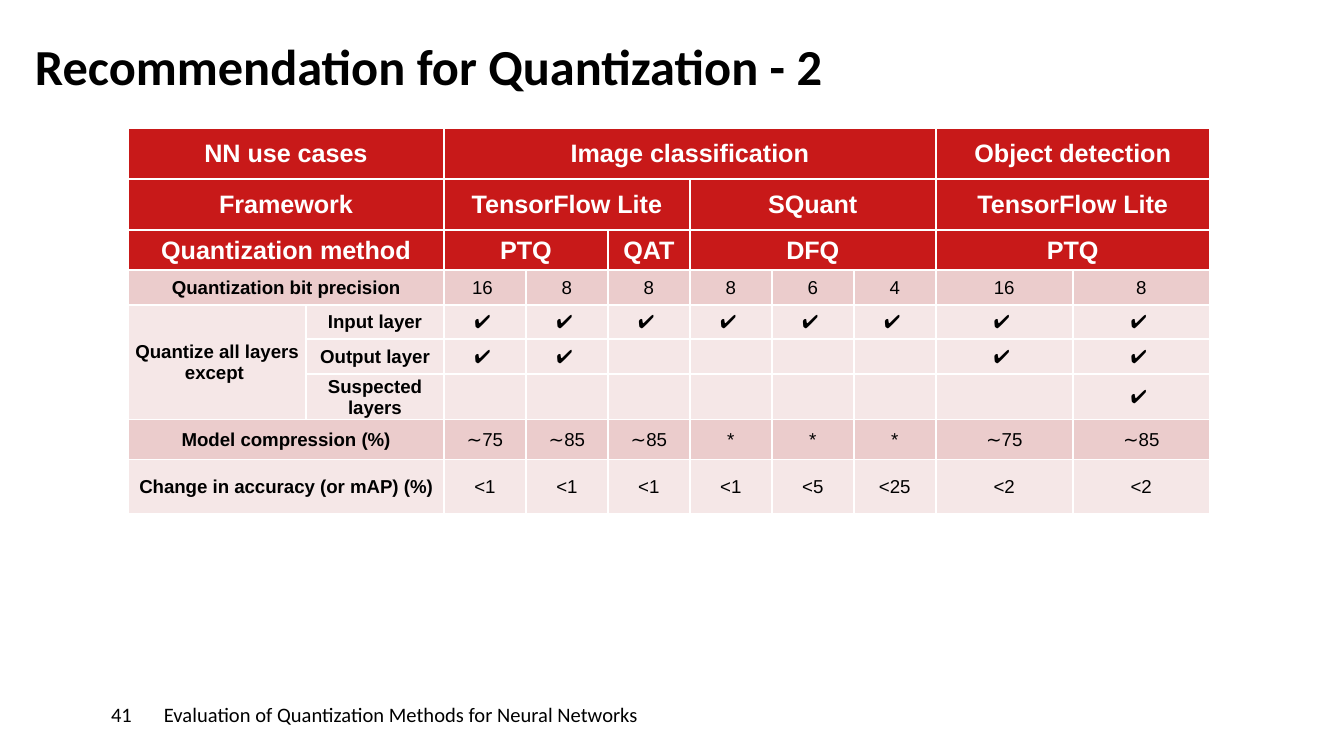
from dataclasses import dataclass
from itertools import takewhile

from lxml.etree import SubElement
from pptx import Presentation
from pptx.dml.color import RGBColor
from pptx.enum.shapes import MSO_SHAPE
from pptx.enum.text import MSO_ANCHOR as Anchor, PP_ALIGN as Align
from pptx.oxml.ns import qn
from pptx.util import Pt

EMU_PER_PX = 914400 / 134.4
LEFT, UP = "merge left", "merge up"


@dataclass(frozen=True)
class Theme:
    white: str = "FFFFFF"
    black: str = "000000"
    red: str = "C81919"
    pink: str = "EBCCCC"
    pale: str = "F5E7E7"
    text_font: str = "Calibri"
    table_font: str = "Arial"
    title_size: float = 27
    footer_size: float = 11
    head_size: float = 13.5
    body_size: float = 10
    border: float = 1


def px(length):
    return round(length * EMU_PER_PX)


def set_all(target, values):
    for name, value in values.items():
        setattr(target, name, value)


class SlideBuilder:
    def __init__(self, slide, theme):
        self.slide = slide
        self.theme = theme

    def add_text(self, frame, text, font, size, color, bold=False, align=Align.LEFT):
        paragraph = frame.paragraphs[0]
        paragraph.alignment = align
        if text:
            run = paragraph.add_run()
            run.text = text
            set_all(run.font, {"name": font, "size": Pt(size), "bold": bold})
            run.font.color.rgb = RGBColor.from_string(color)
        else:  # keeps an empty cell from growing its row
            SubElement(paragraph._p, qn("a:endParaRPr"), sz=str(int(size * 100)))

    def set_frame(self, frame, anchor, inset=0):
        set_all(frame, {"word_wrap": True, "vertical_anchor": anchor,
                        "margin_left": px(inset), "margin_right": 0,
                        "margin_top": 0, "margin_bottom": 0})

    def title(self, box, text):
        frame = self.slide.shapes.add_textbox(*map(px, box)).text_frame
        self.set_frame(frame, Anchor.TOP)
        self.add_text(frame, text, self.theme.text_font, self.theme.title_size,
                      self.theme.black, bold=True)

    def footer(self, box, text, inset=0):
        block = self.slide.shapes.add_shape(MSO_SHAPE.RECTANGLE, *map(px, box))
        block.shadow.inherit = False
        block.fill.solid()
        block.fill.fore_color.rgb = RGBColor.from_string(self.theme.white)
        block.line.fill.background()
        self.set_frame(block.text_frame, Anchor.MIDDLE, inset)
        self.add_text(block.text_frame, text, self.theme.text_font,
                      self.theme.footer_size, self.theme.black)

    def style_cell(self, cell, fill):
        set_all(cell, {"vertical_anchor": Anchor.MIDDLE, "margin_left": px(1),
                       "margin_right": px(1), "margin_top": px(1), "margin_bottom": 0})
        properties = cell._tc.get_or_add_tcPr()
        for side in ("lnL", "lnR", "lnT", "lnB"):
            line = SubElement(properties, qn(f"a:{side}"), w=str(int(Pt(self.theme.border))))
            solid = SubElement(line, qn("a:solidFill"))
            SubElement(solid, qn("a:srgbClr"), val=self.theme.white)
        cell.fill.solid()
        cell.fill.fore_color.rgb = RGBColor.from_string(fill)

    def table(self, left, top, widths, heights, rows, fills, head_rows, label_columns):
        theme = self.theme
        box = (left, top, sum(widths), sum(heights))
        table = self.slide.shapes.add_table(len(rows), len(widths), *map(px, box)).table
        for column, width in zip(table.columns, widths):
            column.width = px(width)
        for row, height in zip(table.rows, heights):
            row.height = px(height)
        for r, row in enumerate(rows):
            in_head = r < head_rows
            for c, text in enumerate(row):
                cell = table.cell(r, c)
                self.style_cell(cell, fills[r])
                merged = text in (LEFT, UP)
                self.add_text(cell.text_frame, "" if merged else text, theme.table_font,
                              theme.head_size if in_head else theme.body_size,
                              theme.white if in_head else theme.black,
                              bold=in_head or c < label_columns, align=Align.CENTER)
                if merged:
                    continue
                across = len(list(takewhile(lambda t: t == LEFT, row[c + 1:])))
                down = len(list(takewhile(lambda below: below[c] == UP, rows[r + 1:])))
                if across or down:
                    cell.merge(table.cell(r + down, c + across))


def main():
    deck = Presentation()
    deck.slide_width, deck.slide_height = px(1344), px(756)
    theme = Theme()
    page = SlideBuilder(deck.slides.add_slide(deck.slide_layouts[6]), theme)

    # Title and footer
    page.title((35, 35, 1110, 79), "Recommendation for Quantization - 2")
    page.footer((164, 672, 1035, 84),
                "Evaluation of Quantization Methods for Neural Networks")
    page.footer((0, 672, 164, 84), "41", inset=111)

    # Recommendation table
    tick = "✔ "
    recommendations = [
        ["NN use cases", LEFT, "Image classification", *[LEFT] * 5,
         "Object detection", LEFT],
        ["Framework", LEFT, "TensorFlow Lite", LEFT, LEFT, "SQuant", LEFT, LEFT,
         "TensorFlow Lite", LEFT],
        ["Quantization method", LEFT, "PTQ", LEFT, "QAT", "DFQ", LEFT, LEFT,
         "PTQ", LEFT],
        ["Quantization bit precision", LEFT, "16 ", "8", "8", "8", "6", "4", "16", "8"],
        ["Quantize all layers except ", "Input layer", *[tick] * 8],
        [UP, "Output layer", tick, tick, *[""] * 4, tick, tick],
        [UP, "Suspected layers", *[""] * 7, tick],
        ["Model compression (%)", LEFT, "∼75", "∼85", "∼85", "*", "*", "*",
         "∼75", "∼85"],
        ["Change in accuracy (or mAP) (%)", LEFT, "<1", "<1", "<1", "<1", "<5", "<25",
         "<2", "<2"],
    ]
    page.table(
        128, 128,
        widths=[178, 138, *[82] * 6, 137, 137],
        heights=[51, 51, 40, 35, 34, 35, 43, 40, 54],
        rows=recommendations,
        fills=[theme.red] * 3 + [theme.pink] + [theme.pale] * 3 + [theme.pink, theme.pale],
        head_rows=3, label_columns=2)

    deck.save("out.pptx")


if __name__ == "__main__":
    main()
